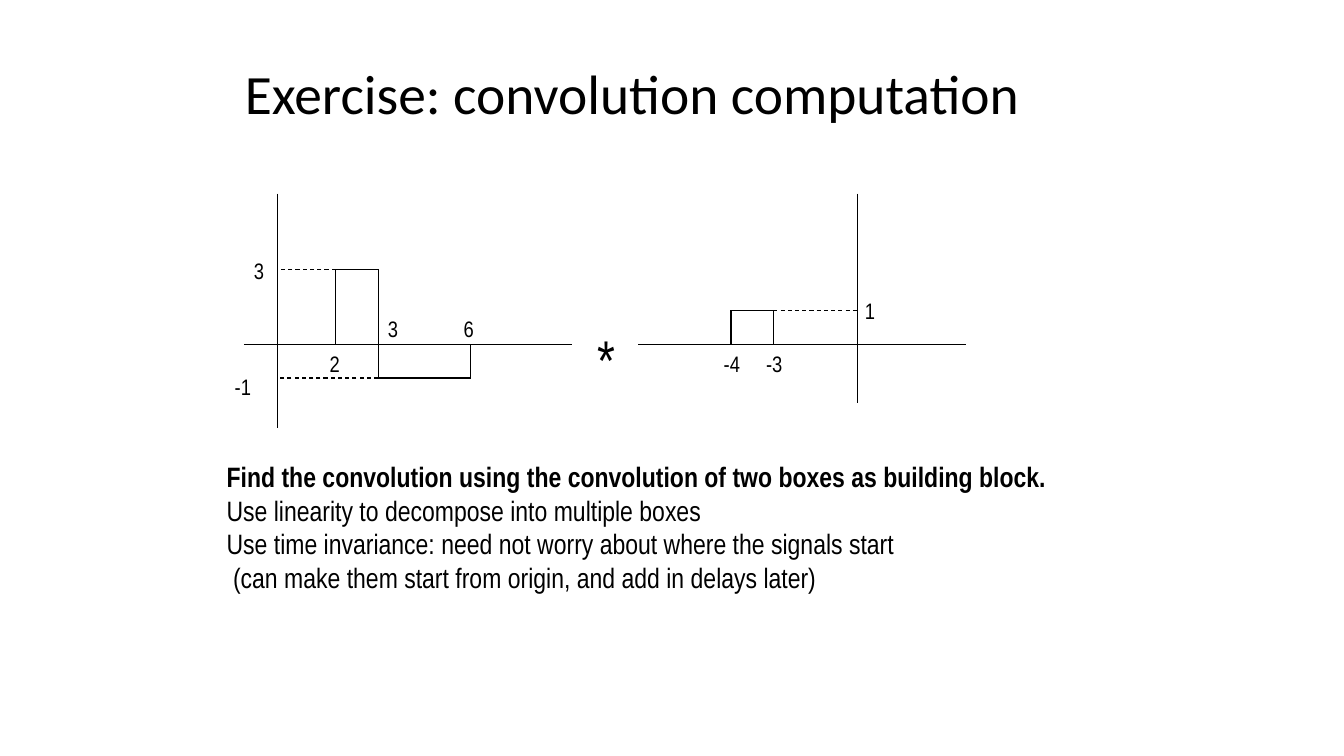
from itertools import pairwise

from lxml import etree
from pptx import Presentation
from pptx import util as u
from pptx.dml.color import RGBColor
from pptx.enum import dml, shapes, text
from pptx.oxml.ns import qn

COLORS = {"ink": "000000", "paper": "FFFFFF"}


class SlideSketch:
    """Holds the style and the current slide."""

    title_font = "Calibri"
    body_font = "Arial Narrow"
    line_width = u.Pt(0.75)

    def __init__(self, slide):
        self.slide = slide
        self.ink = RGBColor.from_string(COLORS["ink"])
        slide.background.fill.solid()
        slide.background.fill.fore_color.rgb = RGBColor.from_string(COLORS["paper"])

    def line(self, start, end, dashed=False):
        ends = [u.Inches(v) for v in (*start, *end)]
        stroke = self.slide.shapes.add_connector(shapes.MSO_CONNECTOR.STRAIGHT, *ends)
        etree.SubElement(stroke._element.spPr, qn("a:effectLst"))
        stroke.line.color.rgb = self.ink
        stroke.line.width = self.line_width
        if dashed:
            stroke.line.dash_style = dml.MSO_LINE.DASH

    def outline(self, *corners):
        for start, end in pairwise(corners):
            self.line(start, end)

    def words(self, place, paragraphs, size, font=body_font, bold_first=False,
              spacing=None, **frame_format):
        box = self.slide.shapes.add_textbox(*[u.Inches(v) for v in place])
        frame = box.text_frame
        settings = {"word_wrap": False, "auto_size": text.MSO_AUTO_SIZE.SHAPE_TO_FIT_TEXT}
        for name, value in (settings | frame_format).items():
            setattr(frame, name, value)
        for i, content in enumerate(paragraphs):
            paragraph = frame.add_paragraph() if i else frame.paragraphs[0]
            paragraph.line_spacing = spacing
            run = paragraph.add_run()
            run.text = content
            run.font.color.rgb = self.ink
            font_format = {"name": font, "size": u.Pt(size), "bold": bold_first and i == 0}
            for name, value in font_format.items():
                setattr(run.font, name, value)

    def label(self, left, top, value, width=0.3):
        self.words((left, top, width, 0.37), [value], 16)


def main():
    deck = Presentation()
    deck.slide_width, deck.slide_height = u.Inches(13.33), u.Inches(7.5)
    sketch = SlideSketch(deck.slides.add_slide(deck.slide_layouts[6]))

    # Title
    sketch.words((2.33, 0.33, 8.5, 1.25), ["Exercise: convolution computation"], 39.6,
                 font=sketch.title_font, spacing=0.9, word_wrap=True,
                 auto_size=text.MSO_AUTO_SIZE.NONE,
                 vertical_anchor=text.MSO_ANCHOR.MIDDLE)

    # Axes of both signals
    baseline, axis_top = 3.42, 1.92
    first_origin, second_origin = 2.75, 8.5
    for origin, bottom, left in ((first_origin, 4.25, 2.42), (second_origin, 4, 6.33)):
        sketch.line((origin, axis_top), (origin, bottom))
        sketch.line((left, baseline), (left + 3.25, baseline))

    # First signal: a box of height 3, then one of height -1
    rise, step, end = 3.33, 3.75, 4.67
    high, low = 2.67, 3.75
    sketch.outline((rise, baseline), (rise, high), (step, high), (step, baseline),
                   (step, low), (end, low), (end, baseline))
    sketch.line((step, low), (first_origin, low), dashed=True)
    sketch.line((rise, high), (first_origin, high), dashed=True)

    # Second signal: a box of height 1
    start, stop, unit = 7.25, 7.67, 3.08
    sketch.outline((start, baseline), (start, unit), (stop, unit), (stop, baseline))
    sketch.line((stop, unit), (second_origin, unit), dashed=True)

    # Axis values
    for left, top, value in ((3.17, baseline, "2"), (3.75, 3.08, "3"), (4.5, 3.08, "6"),
                             (2.42, 2.5, "3"), (8.48, 2.9, "1")):
        sketch.label(left, top, value)
    for left, top, value in ((2.23, 3.65, "-1"), (7.08, baseline, "-4"),
                             (7.5, baseline, "-3")):
        sketch.label(left, top, value, width=0.36)

    # Convolution sign
    sketch.words((5.83, 3.17, 0.38, 0.77), ["*"], 40)

    # Task and hints
    sketch.words((2.15, 4.51, 8.37, 1.45), [
        "Find the convolution using the convolution of two boxes as building block.",
        "Use linearity to decompose into multiple boxes",
        "Use time invariance: need not worry about where the signals start",
        " (can make them start from origin, and add in delays later)",
    ], 20, bold_first=True)

    deck.save("out.pptx")


if __name__ == "__main__":
    main()
